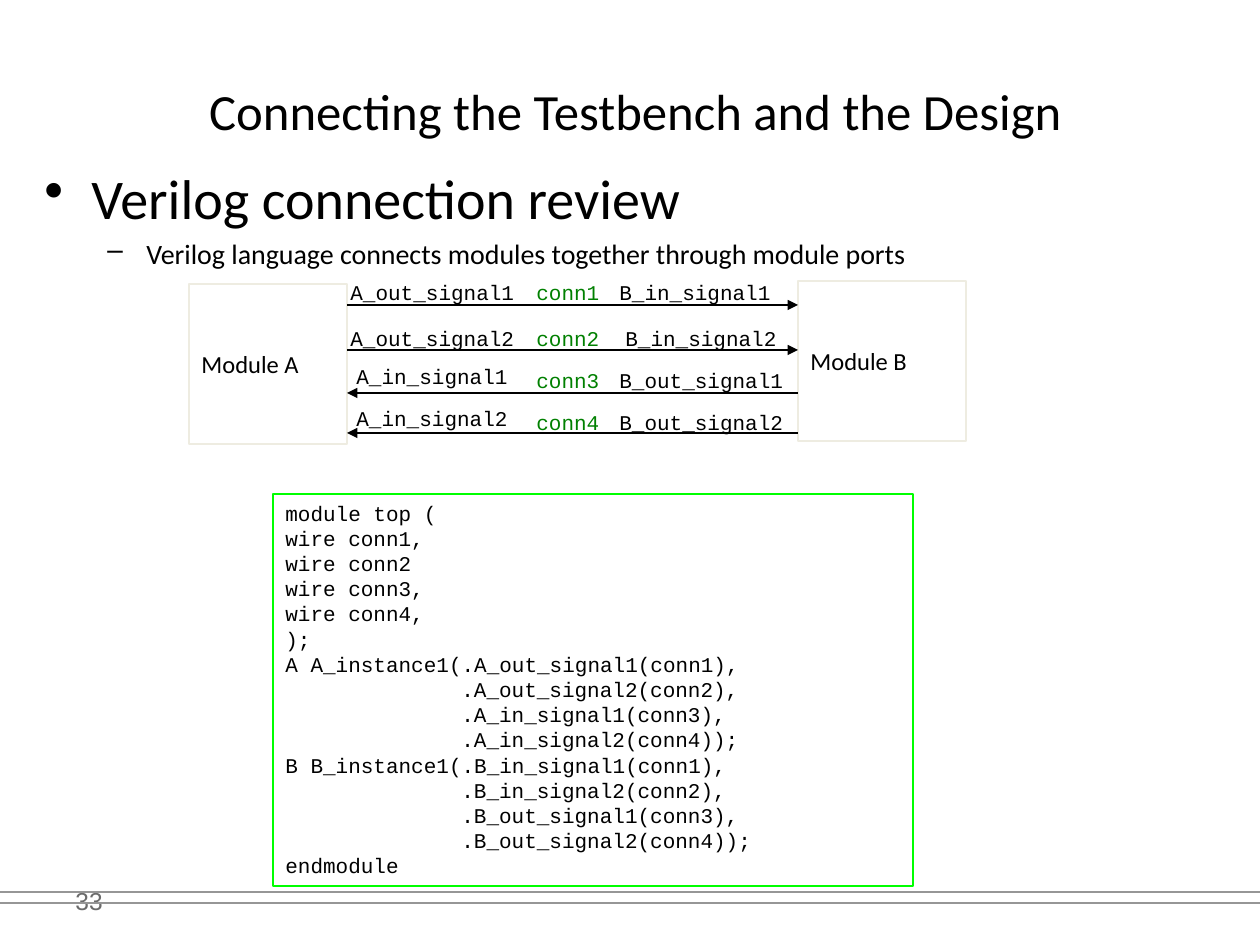
import pptx
import pptx.dml.color
import pptx.enum.shapes
import pptx.enum.text
import pptx.oxml.ns
import pptx.oxml.xmlchemy
import pptx.util

PX = 914400 / 126
COLORS = {"black": "000000", "wire": "008000", "module": "EEECE1",
          "code": "00FF00", "rule": "969696", "number": "6B6B6B"}
ANCHOR = pptx.enum.text.MSO_ANCHOR
SHAPES = pptx.enum.shapes.MSO_SHAPE

presentation = pptx.Presentation()
presentation.slide_width = round(1260 * PX)
presentation.slide_height = round(945 * PX)
slide = presentation.slides.add_slide(presentation.slide_layouts[6])


def add_text(lines, box, size, font="Calibri", color="black", anchor=ANCHOR.TOP,
             outline=None, wrap=True):
    """Add a text box, or an unfilled rectangle when an outline colour is named."""
    bounds = [round(length * PX) for length in box]
    if outline:
        shape = slide.shapes.add_shape(SHAPES.RECTANGLE, *bounds)
        shape.shadow.inherit = False
        shape.fill.background()
        shape.line.color.rgb = pptx.dml.color.RGBColor.from_string(COLORS[outline])
        shape.line.width = pptx.util.Pt(0.75)
    else:
        shape = slide.shapes.add_textbox(*bounds)
    frame = shape.text_frame
    frame.word_wrap = wrap
    frame.vertical_anchor = anchor
    frame.text = "\n".join(lines)
    for paragraph in frame.paragraphs:
        paragraph.alignment = pptx.enum.text.PP_ALIGN.LEFT
        paragraph.font.size = pptx.util.Pt(size)
        paragraph.font.name = font
        paragraph.font.color.rgb = pptx.dml.color.RGBColor.from_string(COLORS[color])
    return frame.paragraphs


def add_line(left, right, y, color, width, arrow_end=None):
    """Add a horizontal line; arrow_end is headEnd (left), tailEnd (right) or None."""
    line = slide.shapes.add_connector(
        pptx.enum.shapes.MSO_CONNECTOR.STRAIGHT,
        *(round(length * PX) for length in (left, y, right, y)))
    line.line.color.rgb = pptx.dml.color.RGBColor.from_string(COLORS[color])
    line.line.width = pptx.util.Pt(width)
    properties = line._element.spPr
    if arrow_end:
        arrow = pptx.oxml.xmlchemy.OxmlElement(f"a:{arrow_end}")
        arrow.set("type", "triangle")
        properties.find(pptx.oxml.ns.qn("a:ln")).append(arrow)
    properties.append(pptx.oxml.xmlchemy.OxmlElement("a:effectLst"))


# Title, bullets and footer
add_text(["33"], (63, 876, 294, 50), 14, "Arial", "number", ANCHOR.MIDDLE)
title = add_text(["Connecting the Testbench and the Design"], (53, 32, 1166, 157), 29,
                 anchor=ANCHOR.MIDDLE)
title[0].alignment = pptx.enum.text.PP_ALIGN.CENTER

bullets = add_text(["Verilog connection review",
                    "Verilog language connects modules together through module ports"],
                   (32, 157, 976, 624), 32)
bullets[1].level = 1
bullets[1].font.size = pptx.util.Pt(16)
for paragraph, symbol, margin, hanging in zip(bullets, "•–", (47, 102), (47, 39)):
    paragraph.space_before = pptx.util.Pt(paragraph.font.size.pt * 0.2)
    properties = paragraph._p.get_or_add_pPr()
    properties.set("marL", str(round(margin * PX)))
    properties.set("indent", str(round(-hanging * PX)))
    bullet = pptx.oxml.xmlchemy.OxmlElement("a:buChar")
    bullet.set("char", symbol)
    properties.find(pptx.oxml.ns.qn("a:spcBef")).addnext(bullet)

for y in (892, 903):
    add_line(0, 1260, y, "rule", 0.75)

# Top-level module listing
code = [
    "module top (",
    "wire conn1,",
    "wire conn2",
    "wire conn3,",
    "wire conn4,",
    ");",
    "A A_instance1(.A_out_signal1(conn1),",
    ".A_out_signal2(conn2),",
    ".A_in_signal1(conn3),",
    ".A_in_signal2(conn4));",
    "B B_instance1(.B_in_signal1(conn1),",
    ".B_in_signal2(conn2),",
    ".B_out_signal1(conn3),",
    ".B_out_signal2(conn4));",
    "endmodule",
]
for paragraph in add_text(code, (273, 494, 640, 392), 12, "Courier New", outline="code"):
    if paragraph.text.startswith("."):
        paragraph._p.get_or_add_pPr().set("marL", str(round(176 * PX)))

# Module diagram
add_text(["Module A"], (189, 284, 158, 160), 14, anchor=ANCHOR.MIDDLE, outline="module")
add_text(["Module B"], (798, 281, 168, 160), 14, anchor=ANCHOR.MIDDLE, outline="module")

# Line y, arrow end, label top, then text, left and top of the A label, text and left of the B label
connections = [
    (305, "tailEnd", 273, "A_out_signal1", 338, 273, "B_in_signal1", 607),
    (350, "tailEnd", 319, "A_out_signal2", 338, 319, "B_in_signal2", 613),
    (393, "headEnd", 361, "A_in_signal1", 344, 357, "B_out_signal1", 607),
    (433, "headEnd", 403, "A_in_signal2", 344, 399, "B_out_signal2", 607),
]
for number, (y, arrow_end, top, a_port, a_left, a_top, b_port, b_left) in enumerate(connections, 1):
    add_line(347, 798, y, "black", 1.5, arrow_end)
    for text, left, label_top, color in ((a_port, a_left, a_top, "black"),
                                         (f"conn{number}", 524, top, "wire"),
                                         (b_port, b_left, top, "black")):
        width = 25 + round(len(text) * 12.6)
        add_text([text], (left, label_top, width, 38), 12, "Courier New", color, wrap=False)

presentation.save("out.pptx")
